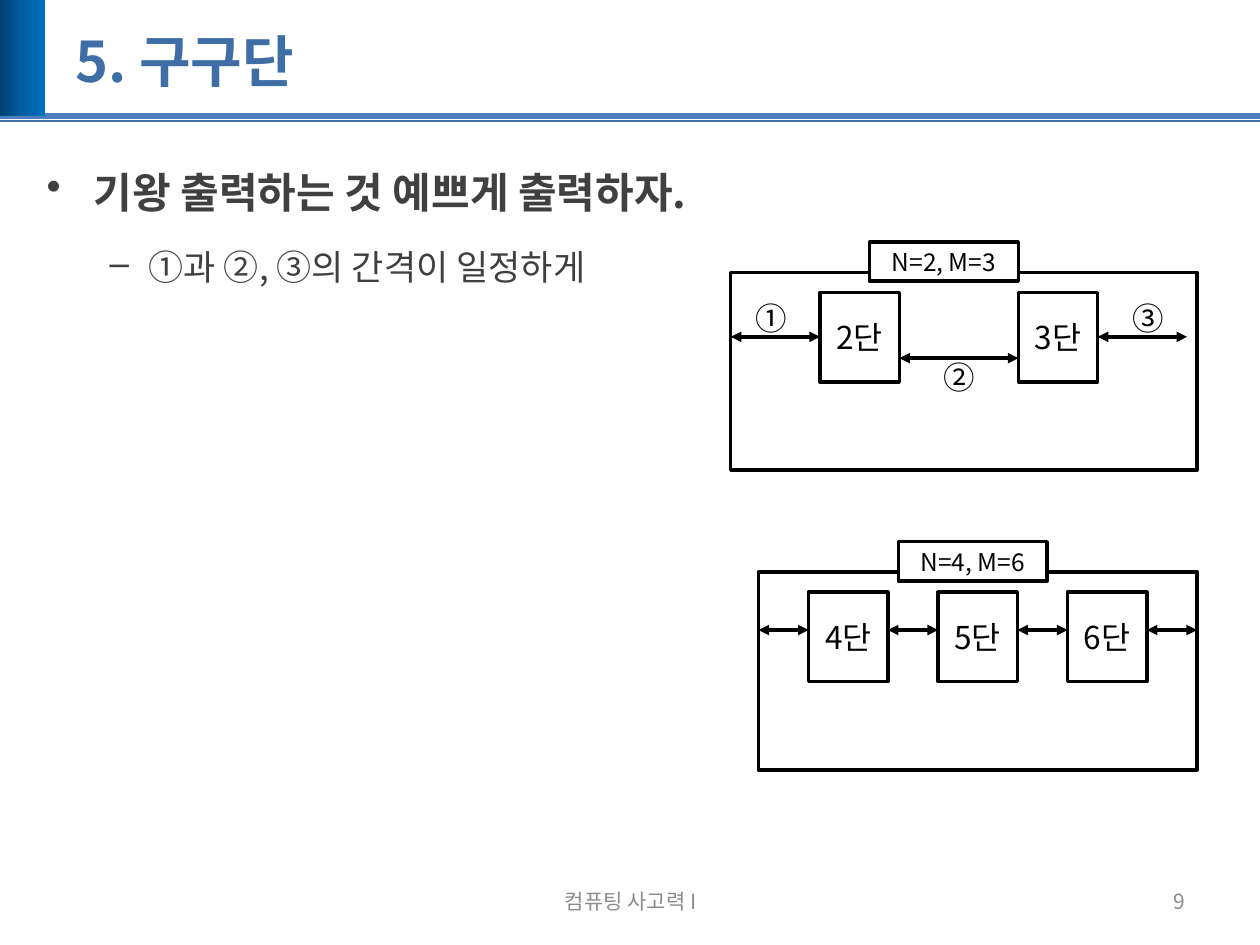
"""Build a slide that explains evenly spaced multiplication tables."""
from copy import deepcopy
from dataclasses import dataclass

from lxml import etree
from pptx import Presentation
from pptx.dml.color import RGBColor
from pptx.enum.shapes import MSO_CONNECTOR, MSO_SHAPE
from pptx.enum.text import MSO_ANCHOR, PP_ALIGN
from pptx.oxml.ns import qn
from pptx.util import Cm, Pt

RECTANGLE = MSO_SHAPE.RECTANGLE
STRAIGHT = MSO_CONNECTOR.STRAIGHT
TOP, MIDDLE = MSO_ANCHOR.TOP, MSO_ANCHOR.MIDDLE
LEFT, CENTER, RIGHT = PP_ALIGN.LEFT, PP_ALIGN.CENTER, PP_ALIGN.RIGHT


@dataclass(frozen=True)
class Theme:
    """Colours, font and type sizes of the slide."""
    font: str = "Noto Sans CJK KR"
    title: str = "3F6EA7"
    rule: str = "4B7EBC"
    body: str = "404040"
    footer: str = "8C8C8C"
    ink: str = "000000"
    paper: str = "FFFFFF"
    band: tuple = ("004272", "005EA2", "0070C0")
    title_size: int = 32
    table_size: int = 18
    label_size: int = 14
    footer_size: int = 12
    outline: int = 2


THEME = Theme()
TITLE = "5. 구구단"
BULLETS = [
    {"text": "기왕 출력하는 것 예쁘게 출력하자.", "character": "•", "size": 24,
     "bold": True, "margin": 0.95, "hanging": 0.95},
    {"text": "①과 ②, ③의 간격이 일정하게", "character": "–", "size": 20,
     "bold": False, "margin": 2.06, "hanging": 0.79},
]
FOOTERS = [
    ("컴퓨팅 사고력 I", (8.69, 17.65, 8.05, 1.02), CENTER),
    ("9", (18.21, 17.65, 5.93, 1.02), RIGHT),
]
HEADER_RULES = [(2.34, THEME.rule, 3), (2.44, THEME.title, 1)]
DIAGRAMS = [
    {"label": "N=2, M=3", "label_left": 17.53, "tables": ["2단", "3단"],
     "left": 14.73, "top": 5.49, "width": 9.4,
     "gaps": [1.8, 2.4, 1.8], "arrow_drops": [1.3, 1.73, 1.3],
     "markers": [("①", 0.25, 0.41), ("②", 0.64, 1.6), ("③", 0.46, 0.41)]},
    {"label": "N=4, M=6", "label_left": 18.11, "tables": ["4단", "5단", "6단"],
     "left": 15.29, "top": 11.53, "width": 8.84,
     "gaps": [1.01] * 4, "arrow_drops": [1.17] * 4, "markers": []},
]
FRAME_HEIGHT = 3.99
TABLE_WIDTH, TABLE_HEIGHT, TABLE_DROP = 1.6, 1.8, 0.41
LABEL_WIDTH, LABEL_HEIGHT, LABEL_RISE = 3, 0.79, 0.61
MARKER_WIDTH, MARKER_HEIGHT = 1.14, 1.02


def color(value):
    return RGBColor.from_string(value)


def format_runs(paragraph, size, ink, bold=False):
    for run in paragraph.runs:
        run.font.name = THEME.font
        run.font.size = Pt(size)
        run.font.bold = bold
        run.font.color.rgb = color(ink)
        etree.SubElement(run.font._element, qn("a:ea"), typeface=THEME.font)


def add_text(slide, text, box, size, ink, align=LEFT, anchor=TOP, bold=False, wrap=True):
    shape = slide.shapes.add_textbox(*map(Cm, box))
    frame = shape.text_frame
    frame.text = text
    frame.word_wrap = wrap
    frame.vertical_anchor = anchor
    frame.paragraphs[0].alignment = align
    format_runs(frame.paragraphs[0], size, ink, bold)


def add_box(slide, box, text="", size=THEME.table_size):
    shape = slide.shapes.add_shape(RECTANGLE, *map(Cm, box))
    shape.shadow.inherit = False
    shape.fill.solid()
    shape.fill.fore_color.rgb = color(THEME.paper)
    shape.line.color.rgb = color(THEME.ink)
    shape.line.width = Pt(THEME.outline)
    if text:
        frame = shape.text_frame
        frame.text = text
        frame.word_wrap = False
        frame.vertical_anchor = MIDDLE
        frame.paragraphs[0].alignment = CENTER
        format_runs(frame.paragraphs[0], size, THEME.ink)


def add_line(slide, start, end, height, ink, width, arrows=False):
    line = slide.shapes.add_connector(STRAIGHT, Cm(start), Cm(height), Cm(end), Cm(height))
    line.line.color.rgb = color(ink)
    line.line.width = Pt(width)
    properties = line._element.spPr
    if arrows:
        for tag in ("a:headEnd", "a:tailEnd"):
            etree.SubElement(properties.find(qn("a:ln")), qn(tag), type="triangle")
    etree.SubElement(properties, qn("a:effectLst"))


def add_header(slide):
    for height, ink, width in HEADER_RULES:
        add_line(slide, 0, 25.4, height, ink, width)
    band = slide.shapes.add_shape(RECTANGLE, 0, 0, Cm(0.9), Cm(2.34))
    band.shadow.inherit = False
    band.line.fill.background()
    band.fill.gradient()
    band.fill.gradient_angle = 0
    stops = band._element.spPr.find(".//" + qn("a:gsLst"))
    stops.insert(1, deepcopy(stops[0]))
    for index, stop in enumerate(band.fill.gradient_stops):
        stop.position = index / 2
        stop.color.rgb = color(THEME.band[index])
    add_text(slide, TITLE, (1.27, 0.53, 22.86, 1.37), THEME.title_size, THEME.title,
             anchor=MIDDLE, bold=True)


def add_bullets(slide):
    shape = slide.shapes.add_textbox(Cm(0.69), Cm(3.02), Cm(22.86), Cm(13.82))
    frame = shape.text_frame
    frame.word_wrap = True
    frame.text = "\n".join(bullet["text"] for bullet in BULLETS)
    for level, (paragraph, bullet) in enumerate(zip(frame.paragraphs, BULLETS)):
        paragraph.level = level
        paragraph.line_spacing = 1.2
        paragraph.space_before = paragraph.space_after = Pt(6)
        format_runs(paragraph, bullet["size"], THEME.body, bullet["bold"])
        properties = paragraph._p.get_or_add_pPr()
        properties.set("marL", str(Cm(bullet["margin"])))
        properties.set("indent", str(-Cm(bullet["hanging"])))
        etree.SubElement(properties, qn("a:buChar"), char=bullet["character"])


def add_diagram(slide, diagram):
    left, top = diagram["left"], diagram["top"]
    add_box(slide, (left, top, diagram["width"], FRAME_HEIGHT))
    starts = []
    for gap in diagram["gaps"]:
        starts.append(left)
        left += gap + TABLE_WIDTH
    for text, start, gap in zip(diagram["tables"], starts, diagram["gaps"]):
        add_box(slide, (start + gap, top + TABLE_DROP, TABLE_WIDTH, TABLE_HEIGHT), text)
    add_box(slide, (diagram["label_left"], top - LABEL_RISE, LABEL_WIDTH, LABEL_HEIGHT),
            diagram["label"], THEME.label_size)
    for start, gap, drop in zip(starts, diagram["gaps"], diagram["arrow_drops"]):
        add_line(slide, start, start + gap, top + drop, THEME.ink, THEME.outline, arrows=True)
    for start, (text, shift, drop) in zip(starts, diagram["markers"]):
        add_text(slide, text, (start + shift, top + drop, MARKER_WIDTH, MARKER_HEIGHT),
                 THEME.table_size, THEME.ink, wrap=False)


def main():
    presentation = Presentation()
    presentation.slide_width, presentation.slide_height = Cm(25.4), Cm(19.05)
    slide = presentation.slides.add_slide(presentation.slide_layouts[6])
    add_header(slide)
    add_bullets(slide)
    for text, box, align in FOOTERS:
        add_text(slide, text, box, THEME.footer_size, THEME.footer, align, MIDDLE)
    for diagram in DIAGRAMS:
        add_diagram(slide, diagram)
    presentation.save("out.pptx")


if __name__ == "__main__":
    main()
